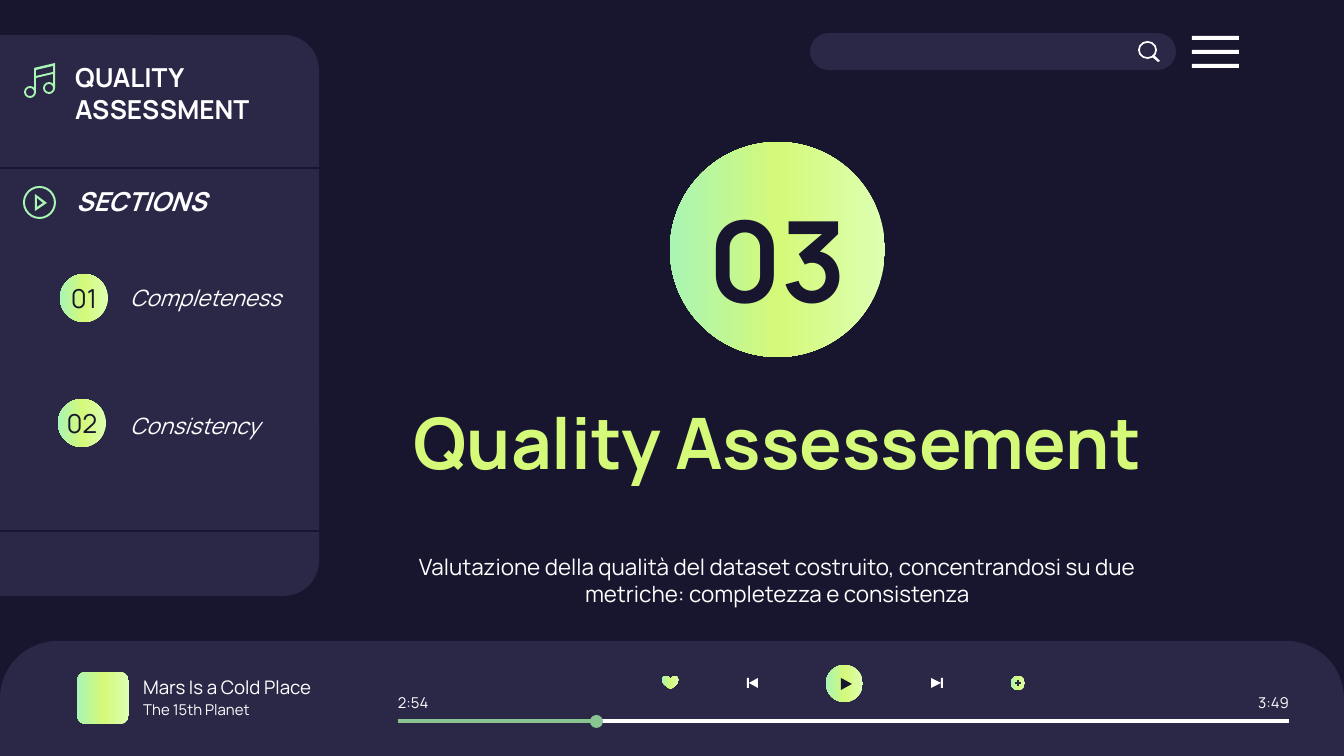
from copy import deepcopy

from pptx import Presentation
from pptx.dml.color import RGBColor
from pptx.enum.shapes import MSO_CONNECTOR, MSO_SHAPE as SHAPE
from pptx.enum.text import MSO_ANCHOR, MSO_AUTO_SIZE, PP_ALIGN as ALIGN
from pptx.oxml.ns import qn
from pptx.oxml.xmlchemy import OxmlElement
from pptx.util import Inches, Pt

PX = 9144000 / 1344  # EMU per px
COLORS = {
    "night": "17162E", "panel": "2A2747", "white": "FFFFFF", "lime": "D5F979",
    "pale": "DDFFB2", "mint": "A9F5B4", "played": "88C591",
}
RGB = {name: RGBColor.from_string(value) for name, value in COLORS.items()}


def paint(s, color):
    """Fill s with a named colour or "gradient", without line or shadow."""
    s.shadow.inherit = False
    s.line.fill.background()
    if color != "gradient":
        s.fill.solid()
        s.fill.fore_color.rgb = RGB[color]
        return
    s.fill.gradient()
    s.fill.gradient_angle = 180
    stops = s._element.spPr.find(".//" + qn("a:gsLst"))
    stops.append(deepcopy(stops[0]))
    for stop, name, position in zip(s.fill.gradient_stops, ("pale", "lime", "mint"), (0, 0.5, 1)):
        stop.color.rgb = RGB[name]
        stop.position = position


def write(s, text, size, color="white", align=ALIGN.LEFT, bold=False, italic=False, side=0.1):
    """Put one formatted paragraph into s; side is the left and right inset in inches."""
    tf = s.text_frame
    tf.text = text
    tf.word_wrap = True
    tf.auto_size = MSO_AUTO_SIZE.NONE
    tf.vertical_anchor = MSO_ANCHOR.MIDDLE
    tf.margin_left = tf.margin_right = Inches(side)
    tf.margin_top = tf.margin_bottom = Inches(0.1)
    p = tf.paragraphs[0]
    p.alignment = align
    p.space_before = Pt(0)
    font = p.runs[0].font
    font.name, font.size, font.bold, font.italic = "Manrope", Pt(size), bold, italic
    font.color.rgb = RGB[color]


prs = Presentation()
prs.slide_width, prs.slide_height = int(1344 * PX), int(756 * PX)
slide = prs.slides.add_slide(prs.slide_layouts[0])
slide.background.fill.solid()
slide.background.fill.fore_color.rgb = RGB["night"]

# Title and subtitle
title, subtitle = slide.placeholders
for s, y, h in ((title, 379, 124), (subtitle, 528, 105)):
    s.left, s.top, s.width, s.height = (int(v * PX) for v in (392, y, 771, h))
write(title, "Quality Assessement", 38, "lime", ALIGN.CENTER, bold=True)
write(subtitle, "Valutazione della qualità del dataset costruito, concentrandosi su due "
      "metriche: completezza e consistenza", 12, align=ALIGN.CENTER)
subtitle.text_frame.paragraphs[0].space_after = Pt(16)

# Preset shapes: kind, x, y, width, height, colour, adjustments
shapes = [
    (SHAPE.ROUNDED_RECTANGLE, 810, 33, 366, 37, "panel", [0.5]),  # search field
    (SHAPE.DONUT, 1138, 41, 19, 18, "white", [0.1]),
    *[(SHAPE.RECTANGLE, 1192, 36 + 14 * i, 47, 4, "white", []) for i in range(3)],  # menu
    (SHAPE.ROUND_2_SAME_RECTANGLE, 0, 641, 1344, 115, "panel", [0.5, 0]),  # player
    (SHAPE.ROUNDED_RECTANGLE, 77, 672, 52, 52, "gradient", [0.17]),
    (SHAPE.HEART, 662, 676, 17, 13, "gradient", []),
    (SHAPE.OVAL, 1011, 676, 14, 14, "gradient", []),
    (SHAPE.OVAL, 826, 665, 37, 37, "gradient", []),
    (SHAPE.RECTANGLE, 747, 678, 2, 10, "white", []),
    (SHAPE.RECTANGLE, 941, 678, 2, 10, "white", []),
    (SHAPE.OVAL, 670, 142, 215, 215, "gradient", []),  # section number
    (SHAPE.RECTANGLE, 0, 35, 159, 561, "panel", []),  # sidebar
    (SHAPE.ROUNDED_RECTANGLE, 0, 35, 319, 561, "panel", [0.11]),
    (SHAPE.DONUT, 23, 186, 33, 33, "mint", [0.06]),
    (SHAPE.DONUT, 24, 86, 12, 12, "mint", [0.16]),
    (SHAPE.DONUT, 43, 82, 12, 12, "mint", [0.16]),
]
for kind, x, y, w, h, color, adjustments in shapes:
    s = slide.shapes.add_shape(kind, *(int(v * PX) for v in (x, y, w, h)))
    for i, value in enumerate(adjustments):
        s.adjustments[i] = value
    paint(s, color)

# Icon outlines: colour, then one or more closed contours
outlines = [
    ("white", [[(1154, 55), (1152, 57), (1158, 62), (1160, 61)]]),  # search handle
    ("night", [[(841, 678), (841, 690), (852, 684)]]),  # play
    ("white", [[(758, 678), (749, 683), (758, 688)]]),  # previous
    ("white", [[(931, 678), (931, 688), (941, 683)]]),  # next
    ("mint", [[(35, 194), (35, 211), (47, 203)], [(37, 198), (37, 207), (43, 203)]]),
    ("mint", [[(55, 63), (34, 68), (34, 92), (36, 92), (36, 78), (53, 74), (53, 88), (55, 88)],
              [(53, 66), (53, 72), (36, 76), (36, 70)]]),  # music note
]
for color, contours in outlines:
    builder = slide.shapes.build_freeform(*contours[0][0], scale=PX)
    for i, contour in enumerate(contours):
        if i:
            builder.move_to(*contour[0])
        builder.add_line_segments(contour[1:], close=True)
    paint(builder.convert_to_shape(), color)

# Numbered sections
for number, name, x, y, label_y, label_w in (
    ("01", "Completeness", 60, 274, 263, 199),
    ("02", "Consistency", 58, 399, 391, 168),
):
    s = slide.shapes.add_shape(SHAPE.OVAL, *(int(v * PX) for v in (x, y, 48, 48)))
    paint(s, "gradient")
    write(s, number, 14, "night", ALIGN.CENTER, side=0)
    label = slide.shapes.add_textbox(*(int(v * PX) for v in (117, label_y, label_w, 70)))
    write(label, name, 12, italic=True)

# Other texts: text, x, y, width, height, size, options
texts = [
    ("03", 670, 196, 215, 124, 60, {"color": "night", "align": ALIGN.CENTER, "bold": True}),
    ("QUALITY ASSESSMENT", 62, 69, 254, 48, 14, {"bold": True}),
    ("SECTIONS", 63, 177, 175, 48, 14, {"bold": True, "italic": True}),
    ("Mars Is a Cold Place", 130, 676, 257, 23, 10, {}),
    ("The 15th Planet", 130, 698, 155, 23, 8, {}),
    ("2:54", 398, 691, 36, 23, 8, {"side": 0}),
    ("3:49", 1253, 691, 36, 23, 8, {"side": 0, "align": ALIGN.RIGHT}),
]
for text, x, y, w, h, size, options in texts:
    s = slide.shapes.add_textbox(*(int(v * PX) for v in (x, y, w, h)))
    write(s, text, size, **options)

# Lines: start, end, colour, weight
lines = [
    (319, 168, 0, 168, "night", 1.5),  # sidebar dividers
    (319, 531, 0, 531, "night", 1.5),
    (1018, 680, 1018, 686, "panel", 0.75),  # plus sign
    (1021, 683, 1015, 683, "panel", 0.75),
    (398, 721, 1289, 721, "white", 2.25),  # progress bar
    (398, 721, 597, 721, "played", 2.25),
]
for x1, y1, x2, y2, color, weight in lines:
    s = slide.shapes.add_connector(MSO_CONNECTOR.STRAIGHT, *(int(v * PX) for v in (x1, y1, x2, y2)))
    s.line.color.rgb = RGB[color]
    s.line.width = Pt(weight)
    s._element.spPr.append(OxmlElement("a:effectLst"))

knob = slide.shapes.add_shape(SHAPE.OVAL, *(int(v * PX) for v in (590, 715, 13, 13)))
paint(knob, "played")

prs.save("out.pptx")
